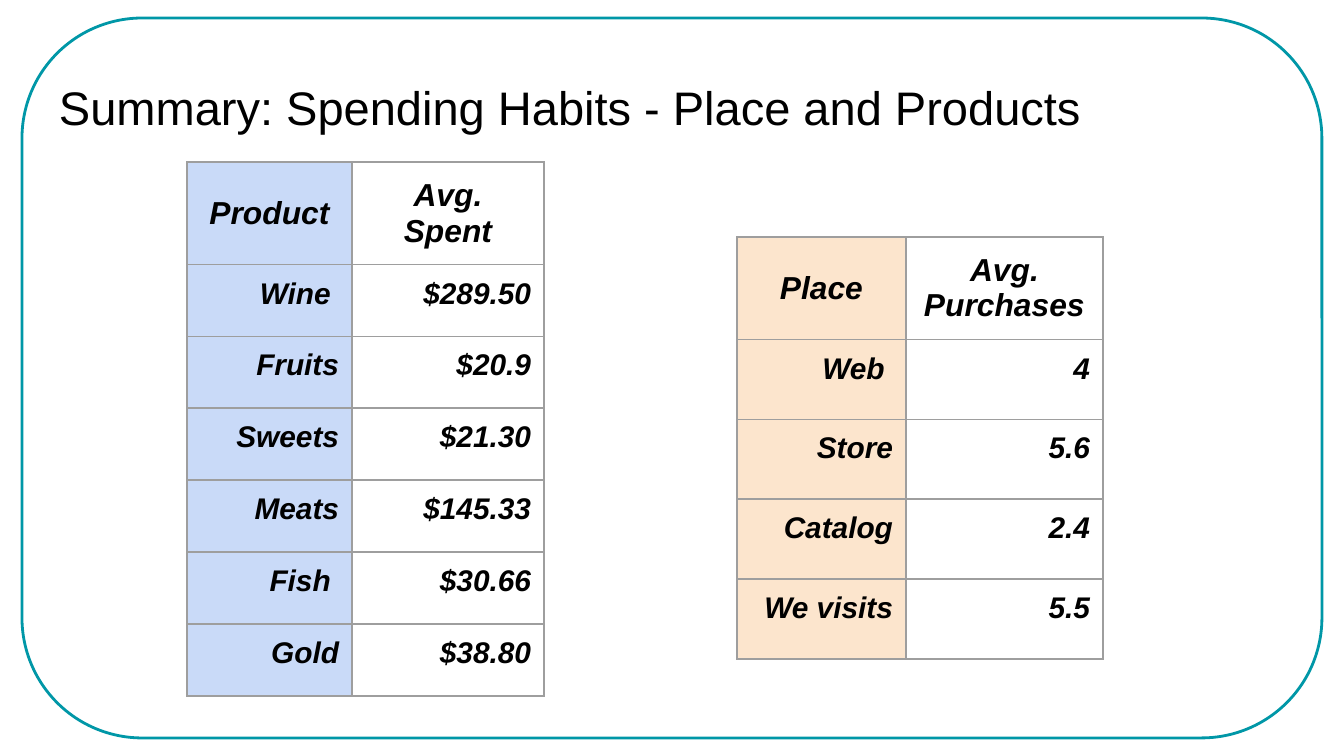
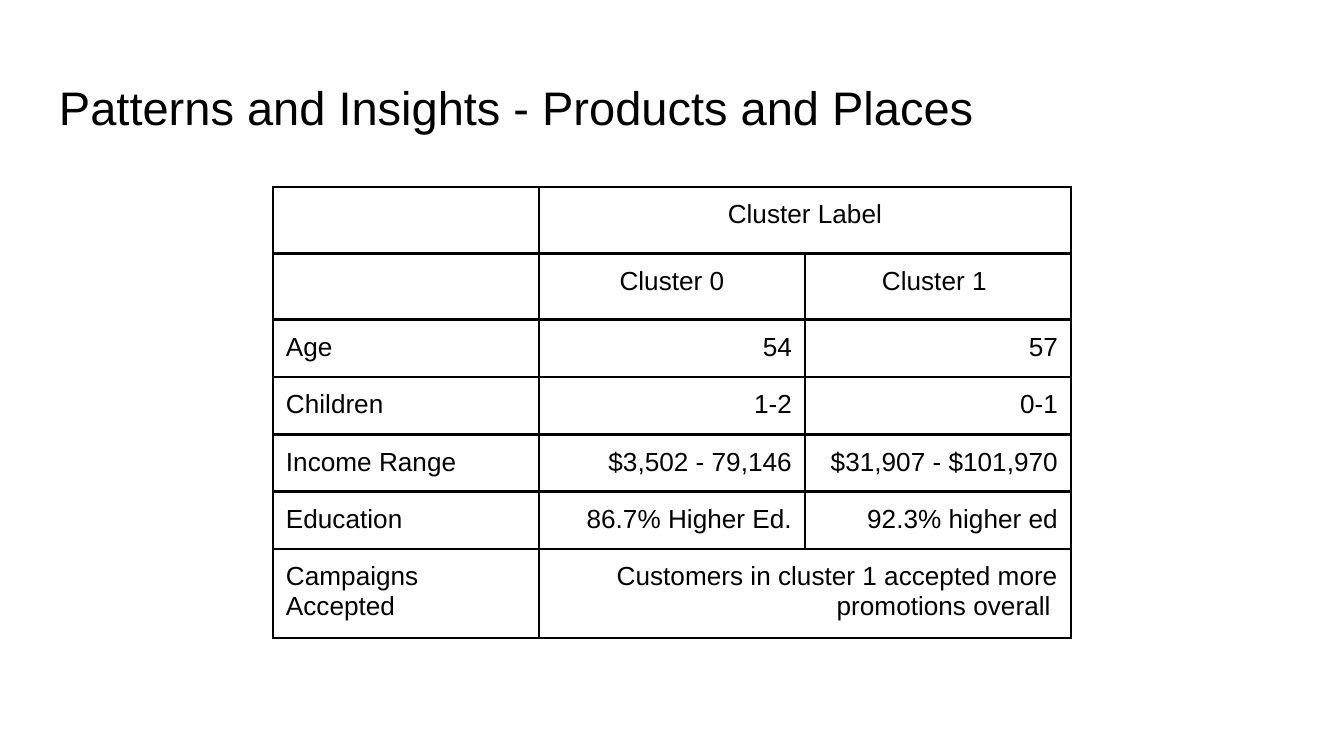
from lxml.etree import SubElement
from pptx import Presentation
from pptx.dml.color import RGBColor as Rgb
from pptx.enum.shapes import MSO_SHAPE as Preset
from pptx.enum.text import MSO_ANCHOR as Anchor, PP_ALIGN as Align
from pptx.oxml.ns import qn
from pptx.util import Emu, Pt

# Shared look
COLORS = {
    "text": "000000",
    "frame": "0097A7",
    "grid": "9E9E9E",
    "rule": "000000",
    "product": "C9DAF8",
    "place": "FCE5CD",
}
EMU_PER_PX = 914400 / 134.4
INSET = 13
TITLE_BOX = (46, 66, 1252, 84)
TITLE_FONT = {"name": "Arial", "size": Pt(25.2)}
HEAD_FONT = {"name": "Arial", "size": Pt(17), "bold": True, "italic": True}
BODY_FONT = {**HEAD_FONT, "size": Pt(16)}
CLUSTER_FONT = {"name": "Arial", "size": Pt(14)}

# Table contents
PRODUCTS = [
    ("Product", "Avg. Spent"),
    ("Wine ", "$289.50"),
    ("Fruits", "$20.9"),
    ("Sweets", "$21.30"),
    ("Meats", "$145.33"),
    ("Fish ", "$30.66"),
    ("Gold", "$38.80"),
]
PLACES = [
    ("Place", "Avg. Purchases"),
    ("Web ", "4"),
    ("Store", "5.6"),
    ("Catalog", "2.4"),
    ("We visits", "5.5"),
]
CLUSTERS = [
    ("", "Cluster Label", ""),
    ("", "Cluster 0", "Cluster 1 "),
    ("Age", "54", "57"),
    ("Children", "1-2", "0-1"),
    ("Income Range", "$3,502 - 79,146", "$31,907 - $101,970"),
    ("Education", "86.7% Higher Ed.", "92.3% higher ed"),
    ("Campaigns Accepted",
     "Customers in cluster 1 accepted more promotions overall ", ""),
]


def px(length):
    return Emu(round(length * EMU_PER_PX))


def color(name):
    return Rgb.from_string(COLORS[name])


def apply(target, values):
    for name, value in values.items():
        setattr(target, name, value)


def margins():
    sides = ("left", "top", "right", "bottom")
    return {f"margin_{side}": px(INSET) for side in sides}


def write(frame, text, font, align=Align.LEFT):
    para = frame.paragraphs[0]
    para.alignment = align
    span = para.add_run()
    span.text = text
    apply(span.font, font)
    span.font.color.rgb = color("text")


def add_title(page, text):
    box = page.shapes.add_textbox(*map(px, TITLE_BOX))
    apply(box.text_frame, {**margins(), "word_wrap": True,
                           "vertical_anchor": Anchor.TOP})
    write(box.text_frame, text, TITLE_FONT)


def add_frame(page):
    frame = page.shapes.add_shape(Preset.ROUNDED_RECTANGLE,
                                  *map(px, (22, 18, 1300, 720)))
    frame.adjustments[0] = 0.167
    frame.shadow.inherit = False
    frame.fill.background()
    frame.line.color.rgb = color("frame")
    frame.line.width = Pt(1.5)


def add_borders(cell, name, width):
    properties = cell._tc.get_or_add_tcPr()
    for side in ("lnL", "lnR", "lnT", "lnB"):
        line = SubElement(properties, qn(f"a:{side}"), w=str(Pt(width)))
        fill = SubElement(line, qn("a:solidFill"))
        SubElement(fill, qn("a:srgbClr"), val=COLORS[name])


def add_grid(page, left, top, widths, heights, border):
    """Add an unstyled table with one border on every cell."""
    size = (left, top, sum(widths), sum(heights))
    table = page.shapes.add_table(len(heights), len(widths),
                                  *map(px, size)).table
    apply(table, {"first_row": False, "horz_banding": False})
    for column, width in zip(table.columns, widths):
        column.width = px(width)
    for row, height in zip(table.rows, heights):
        row.height = px(height)
    for cell in table.iter_cells():
        apply(cell, margins())
        add_borders(cell, *border)
        cell.fill.background()
    return table


def add_spending_table(page, rows, left, top, widths, row_height, tint):
    heights = [98] + [row_height] * (len(rows) - 1)
    table = add_grid(page, left, top, widths, heights, ("grid", 0.75))
    for r, row in enumerate(rows):
        for c, text in enumerate(row):
            cell = table.cell(r, c)
            if r == 0:
                cell.vertical_anchor = Anchor.MIDDLE
                write(cell.text_frame, text, HEAD_FONT, Align.CENTER)
            else:
                write(cell.text_frame, text, BODY_FONT, Align.RIGHT)
            if c == 0:
                cell.fill.solid()
                cell.fill.fore_color.rgb = color(tint)


def add_cluster_table(page):
    heights = [65] * 2 + [56] * 4 + [86]
    table = add_grid(page, 273, 187, [266] * 3, heights, ("rule", 1.5))
    for r in (0, len(CLUSTERS) - 1):
        table.cell(r, 1).merge(table.cell(r, 2))
    for r, row in enumerate(CLUSTERS):
        for c, text in enumerate(row):
            if not text:
                continue
            align = Align.CENTER if r < 2 else Align.RIGHT if c else Align.LEFT
            write(table.cell(r, c).text_frame, text, CLUSTER_FONT, align)


def main():
    deck = Presentation()
    apply(deck, {"slide_width": px(1344), "slide_height": px(756)})
    blank = deck.slide_layouts[6]

    # Spending summary
    page = deck.slides.add_slide(blank)
    add_frame(page)
    add_title(page, "Summary: Spending Habits - Place and Products")
    add_spending_table(page, PRODUCTS, 187, 162, (165, 192), 72, "product")
    add_spending_table(page, PLACES, 737, 237, (169, 197), 80, "place")

    # Cluster comparison
    page = deck.slides.add_slide(blank)
    add_cluster_table(page)
    add_title(page, "Patterns and Insights - Products and Places")

    deck.save("out.pptx")


if __name__ == "__main__":
    main()
